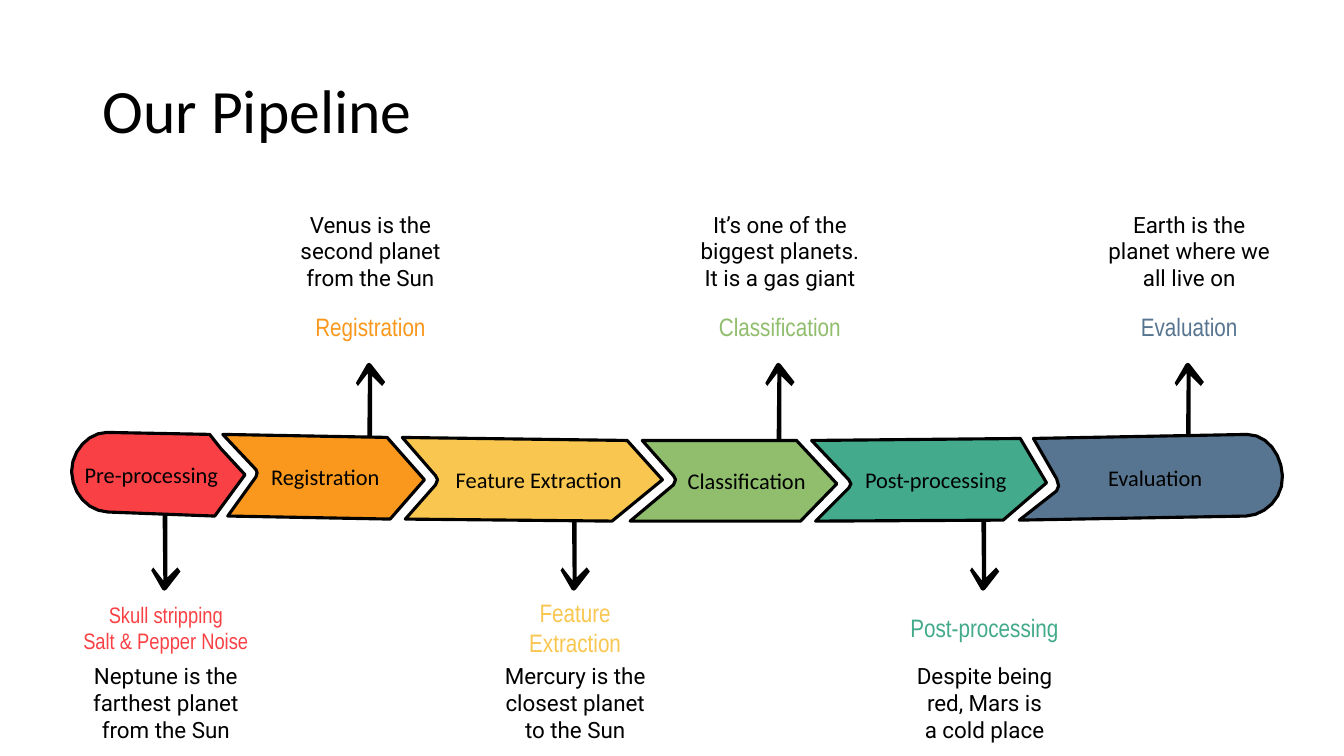
import pptx
import pptx.dml.color
import pptx.enum.text
import pptx.util
from dataclasses import dataclass

Inches = pptx.util.Inches
Align = pptx.enum.text.PP_ALIGN


@dataclass(frozen=True)
class Theme:
    ink: str = "000000"
    red: str = "F94145"
    orange: str = "F9981C"
    yellow: str = "F9C750"
    green: str = "90BE6D"
    teal: str = "43AA8B"
    blue: str = "577590"
    title: tuple = ("Calibri", 44)
    stage: tuple = ("Calibri", 16)
    heading: tuple = ("Arial Narrow", 18)
    small_heading: tuple = ("Arial Narrow", 16)
    body: tuple = ("Roboto", 16)
    outline: float = 2.25


THEME = Theme()
WIDTH, HEIGHT = 13.33, 7.5
MARGIN, COLUMN, BOX_WIDTH = 0.68, 2.03, 1.93
INSET = 0.14
ARROW_OFFSET = 0.81
# Top and height of each row, for notes above and below the band
ROWS = {
    "above": {"body": (1.98, 1.02), "heading": (2.96, 0.55), "arrow": (3.6, 1.04)},
    "below": {"body": (6.46, 1.02), "heading": (5.95, 0.55), "arrow": (4.82, 1.04)},
}

ARROW = [
    (0.14, 0), (0.12, 0.01), (0.01, 0.2), (0.03, 0.23), (0.13, 0.1),
    (0.12, 1.02), (0.15, 1.04), (0.17, 1.02), (0.17, 0.13),
    (0.27, 0.23), (0.3, 0.19), (0.16, 0.01),
]

# Stage name, colour, label indent, outline, heading paragraphs, body paragraphs.
# Outline steps: two numbers are a straight line's end, six are a Bezier curve.
STAGES = [
    ("Pre-processing", THEME.red, 0.13,
     [(1.06, 4.29), (0.88, 4.29, 0.71, 4.47, 0.71, 4.68),
      (0.72, 4.9, 0.87, 5.07, 1.07, 5.08), (2.13, 5.12), (2.43, 4.71), (2.19, 4.45),
      (2.08, 4.31)],
     ["Skull stripping", "Salt & Pepper Noise"],
     ["Neptune is the farthest planet", "from the Sun"]),
    ("Registration", THEME.orange, 0.48,
     [(2.21, 4.31), (2.54, 4.66), (2.55, 4.69), (2.54, 4.73), (2.26, 5.12),
      (3.87, 5.15), (4.21, 4.76), (3.84, 4.34)],
     ["Registration"], ["Venus is the second planet from the Sun"]),
    ("Feature Extraction", THEME.yellow, 0.53,
     [(3.99, 4.34), (4.32, 4.72), (4.34, 4.76), (4.32, 4.81), (4.02, 5.15),
      (6.07, 5.17), (6.57, 4.76), (6.22, 4.37)],
     ["Feature Extraction"], ["Mercury is the closest planet", "to the Sun"]),
    ("Classification", THEME.green, 0.57,
     [(6.37, 4.37), (6.68, 4.72), (6.7, 4.76), (6.68, 4.81), (6.25, 5.17),
      (7.94, 5.17), (8.3, 4.8), (7.9, 4.37)],
     ["Classification"], ["It’s one of the biggest planets. It is a gas giant"]),
    ("Post-processing", THEME.teal, 0.53,
     [(10.12, 4.35), (8.05, 4.37), (8.42, 4.76), (8.44, 4.8), (8.42, 4.84),
      (8.09, 5.17), (9.95, 5.16), (10.38, 4.79)],
     ["Post-processing"], ["Despite being red, Mars is", "a cold place"]),
    ("Evaluation", THEME.blue, 0.88,
     [(12.37, 4.31), (10.25, 4.35), (10.48, 4.75), (10.5, 4.82), (10.48, 4.87),
      (10.11, 5.16), (12.36, 5.12), (12.55, 5.11, 12.73, 4.94, 12.72, 4.72),
      (12.71, 4.51, 12.57, 4.31, 12.37, 4.31)],
     ["Evaluation"], ["Earth is the planet where we all live on"]),
]


def rgb(color):
    return pptx.dml.color.RGBColor.from_string(color)


def apply_format(target, values):
    for name, value in values.items():
        setattr(target, name, value)


def flatten(outline, segments=6):
    """Turn lines and Bezier curves into a list of corner points."""
    points = [outline[0]]
    for step in outline[1:]:
        if len(step) == 2:
            points.append(step)
            continue
        controls = [points[-1], step[0:2], step[2:4], step[4:6]]
        for index in range(1, segments + 1):
            t = index / segments
            weights = ((1 - t) ** 3, 3 * t * (1 - t) ** 2, 3 * t * t * (1 - t), t ** 3)
            points.append(tuple(sum(weight * control[axis] for weight, control
                                    in zip(weights, controls)) for axis in (0, 1)))
    return points


def add_outline(slide, points, fill, line=None):
    corners = [(Inches(x), Inches(y)) for x, y in points]
    builder = slide.shapes.build_freeform(*corners[0], scale=1.0)
    builder.add_line_segments(corners[1:], close=True)
    shape = builder.convert_to_shape()
    shape.shadow.inherit = False
    shape.fill.solid()
    shape.fill.fore_color.rgb = rgb(fill)
    if line:
        shape.line.color.rgb = rgb(line)
        shape.line.width = pptx.util.Pt(THEME.outline)
    else:
        shape.line.fill.background()
    return shape


def write(shape, paragraphs, style, color, align, left=INSET, right=INSET, spacing=None):
    frame = shape.text_frame
    apply_format(frame, {
        "word_wrap": True, "vertical_anchor": pptx.enum.text.MSO_ANCHOR.MIDDLE,
        "margin_left": Inches(left), "margin_right": Inches(right)})
    frame.text = "\n".join(paragraphs)
    name, size = style
    for paragraph in frame.paragraphs:
        apply_format(paragraph, {"alignment": align, "line_spacing": spacing})
        for run in paragraph.runs:
            apply_format(run.font, {"name": name, "size": pptx.util.Pt(size)})
            run.font.color.rgb = rgb(color)


def add_note(slide, column, row, paragraphs, style, color):
    top, height = row
    box = slide.shapes.add_textbox(Inches(MARGIN + column * COLUMN), Inches(top),
                                   Inches(BOX_WIDTH), Inches(height))
    write(box, paragraphs, style, color, Align.CENTER)


def add_arrow(slide, column, side):
    top, height = ROWS[side]["arrow"]
    left = MARGIN + column * COLUMN + ARROW_OFFSET
    points = [(left + x, top + (y if side == "above" else height - y))
              for x, y in ARROW]
    add_outline(slide, points, THEME.ink)


def add_stage(slide, column, name, color, indent, outline, heading, body):
    side = "above" if column % 2 else "below"
    add_arrow(slide, column, side)
    band = add_outline(slide, flatten(outline), color, THEME.ink)
    write(band, [name], THEME.stage, THEME.ink, Align.LEFT, left=indent, right=0)
    heading_style = THEME.heading if len(heading) == 1 else THEME.small_heading
    add_note(slide, column, ROWS[side]["heading"], heading, heading_style, color)
    add_note(slide, column, ROWS[side]["body"], body, THEME.body, THEME.ink)


def add_title(slide, text):
    box = slide.shapes.add_textbox(Inches(0.92), Inches(0.4), Inches(11.5), Inches(1.45))
    write(box, [text], THEME.title, THEME.ink, Align.LEFT, left=0.1, right=0.1, spacing=0.9)


def main():
    presentation = pptx.Presentation()
    apply_format(presentation, {"slide_width": Inches(WIDTH), "slide_height": Inches(HEIGHT)})
    slide = presentation.slides.add_slide(presentation.slide_layouts[6])
    for column, stage in enumerate(STAGES):
        add_stage(slide, column, *stage)
    add_title(slide, "Our Pipeline")
    presentation.save("out.pptx")


if __name__ == "__main__":
    main()
